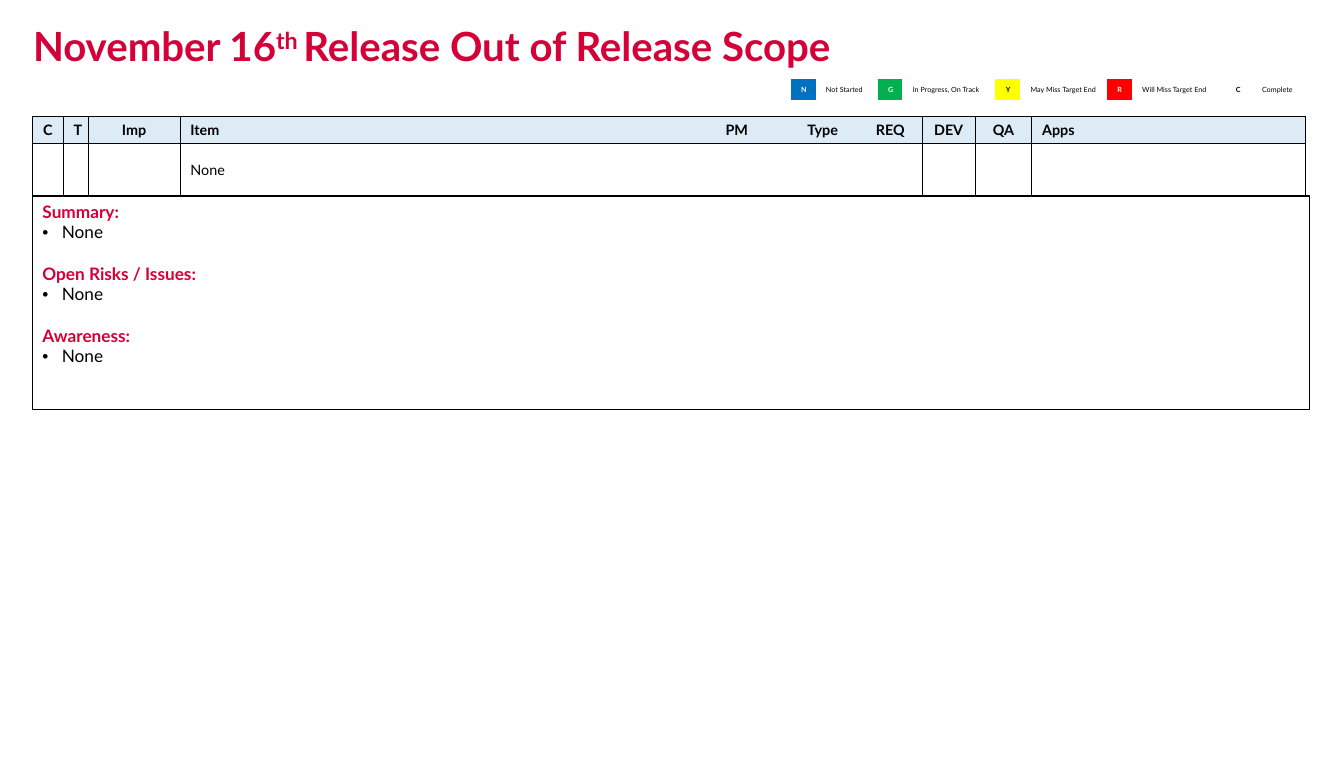
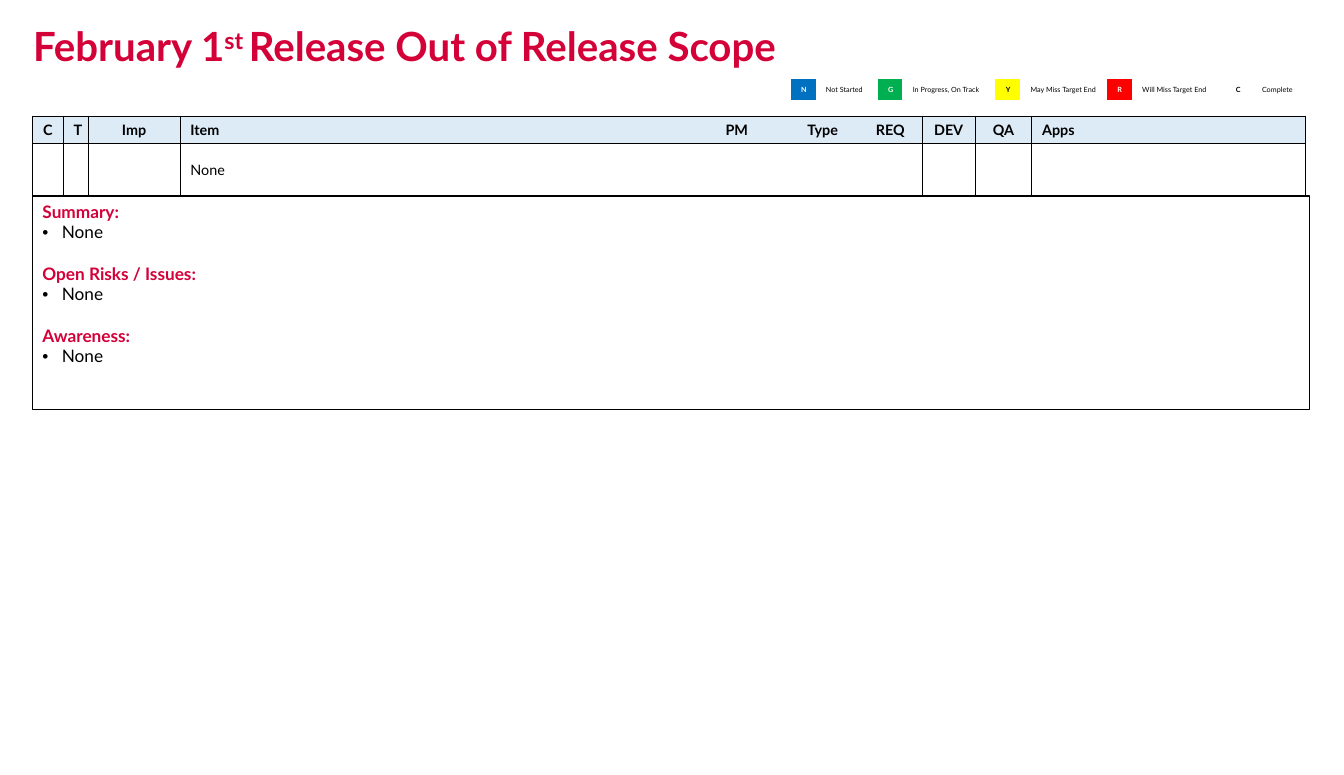
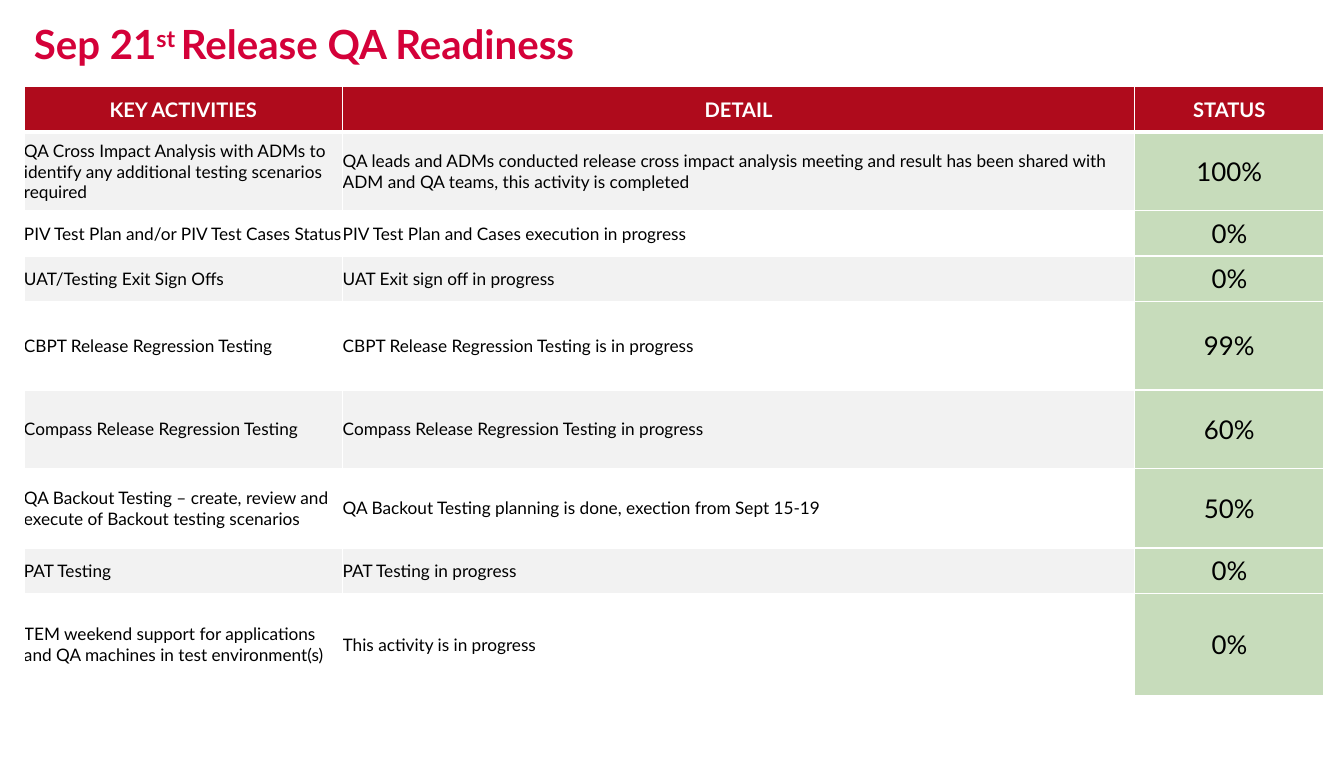
from collections import namedtuple

from lxml import etree
from pptx import Presentation
from pptx.dml import color as dml
from pptx.enum import shapes, text
from pptx.oxml import ns
from pptx.util import Pt

Box = namedtuple("Box", "left top width height")

FONT = "Lato"
COLORS = {
    "title": "D40139", "black": "000000", "white": "FFFFFF", "header": "DDEBF7",
    "not_started": "0070C0", "on_track": "00B050", "may_miss": "FFFF00",
    "will_miss": "FF0000", "banner": "AF0B1C", "band": "F2F2F2", "status": "C7DCBB",
}
LEFT, CENTER = text.PP_ALIGN.LEFT, text.PP_ALIGN.CENTER

LEGEND = [
    ("N", "not_started", "white", "Not Started", 16.6, 43.2),
    ("G", "on_track", "white", "In Progress, On Track", 16.6, 64.8),
    ("Y", "may_miss", "black", "May Miss Target End", 16.6, 60.5),
    ("R", "will_miss", "white", "Will Miss Target End", 16.6, 64.8),
    ("C", None, "black", "Complete", 18.7, 43.2),
]
SCOPE_COLUMNS = [
    ("C", 21.6), ("T", 16.6), ("Imp", 64.1), ("Item", 352.8), ("PM", 69.8),
    ("Type", 49.7), ("REQ", 44.6), ("DEV", 36.7), ("QA", 39.6), ("Apps", 190.8),
]
SCOPE_ITEM = ["", "", "", "None", "", "", "", "", "", ""]
OPEN_COLUMNS = ("Item", "PM", "Type", "REQ")
SUMMARY = [("Summary:", "None"), ("Open Risks / Issues:", "None"), ("Awareness:", "None")]

QA_WIDTHS = [222, 551.5, 132]
QA_HEADINGS = ["KEY ACTIVITIES", "DETAIL", "STATUS"]
QA_ROWS = [
    ("QA Cross Impact Analysis with ADMs to identify any additional testing scenarios required",
     "QA leads and ADMs conducted release cross impact analysis meeting and result has been "
     "shared with ADM and QA teams, this activity is completed", "100%", 54.7),
    ("PIV Test Plan and/or PIV Test Cases Status",
     "PIV Test Plan and Cases execution in progress", "0%", 31.5),
    ("UAT/Testing Exit Sign Offs", "UAT Exit sign off in progress", "0%", 31.5),
    ("CBPT Release Regression Testing",
     "CBPT Release Regression Testing is in progress", "99%", 61.9),
    ("Compass Release Regression Testing",
     "Compass Release Regression Testing in progress", "60%", 54.7),
    ("QA Backout Testing – create, review and execute of Backout testing scenarios",
     "QA Backout Testing planning is done, exection from Sept 15-19", "50%", 55.4),
    ("PAT Testing", "PAT Testing in progress", "0%", 31.5),
    ("TEM weekend support for applications and QA machines in test environment(s)",
     "This activity is in progress", "0%", 71.3),
]


def rgb(name):
    """Return the named colour."""
    return dml.RGBColor.from_string(COLORS[name])


def style_runs(paragraph, size, color="black", bold=False):
    """Format every run of a paragraph."""
    for run in paragraph.runs:
        run.font.name, run.font.size, run.font.bold = FONT, Pt(size), bold
        run.font.color.rgb = rgb(color)


def set_borders(cell, color, widths):
    """Give a cell left, right, top and bottom borders; a zero width hides one."""
    properties = cell._tc.get_or_add_tcPr()
    for side, width in zip("LRTB", widths):
        line = etree.SubElement(properties, ns.qn("a:ln" + side), w=str(int(Pt(width))))
        if width:
            fill = etree.SubElement(line, ns.qn("a:solidFill"))
            etree.SubElement(fill, ns.qn("a:srgbClr"), val=COLORS[color])
        else:
            etree.SubElement(line, ns.qn("a:noFill"))


def fill_cell(cell, words, size, color="black", bold=False, align=LEFT, fill=None,
              border="black", widths=(0, 0, 0, 0), spacing=None):
    """Write and format one table cell."""
    cell.text_frame.text = words
    cell.vertical_anchor = text.MSO_ANCHOR.MIDDLE
    paragraph = cell.text_frame.paragraphs[0]
    paragraph.alignment = align
    if spacing:
        paragraph.line_spacing = Pt(spacing)
    style_runs(paragraph, size, color, bold)
    set_borders(cell, border, widths)
    if fill:
        cell.fill.solid()
        cell.fill.fore_color.rgb = rgb(fill)
    else:
        cell.fill.background()


def add_grid(slide, box, widths, heights):
    """Add a plain table with the given column widths and row heights."""
    grid = slide.shapes.add_table(len(heights), len(widths), *map(Pt, box)).table
    grid.first_row = grid.horz_banding = False
    for column, width in zip(grid.columns, widths):
        column.width = Pt(width)
    for row, height in zip(grid.rows, heights):
        row.height = Pt(height)
    return grid


def add_title(slide, box, date, ordinal, subject):
    """Place the slide title with a raised ordinal after the date."""
    title = slide.shapes.title
    title.left, title.top, title.width, title.height = map(Pt, box)
    frame = title.text_frame
    frame.margin_left = frame.margin_top = frame.margin_right = 0
    frame.margin_bottom = Pt(8.6)
    frame.vertical_anchor = text.MSO_ANCHOR.BOTTOM
    frame.auto_size, frame.word_wrap = text.MSO_AUTO_SIZE.NONE, True
    heading = frame.paragraphs[0]
    heading.alignment = LEFT
    for words in (date, ordinal + " ", subject):
        heading.add_run().text = words
    style_runs(heading, 28, "title", True)
    heading.runs[1].font._element.set("baseline", "30000")


def add_legend(slide, box):
    """Add the status key as a one-row table."""
    widths = [width for entry in LEGEND for width in entry[4:]]
    key = add_grid(slide, box, widths, [box.height])
    for index, (letter, fill, color, meaning, *_) in enumerate(LEGEND):
        fill_cell(key.cell(0, 2 * index), letter, 5, color, True, CENTER, fill)
        fill_cell(key.cell(0, 2 * index + 1), meaning, 5)


def add_scope_table(slide, box):
    """Add the table of out-of-release items."""
    header_height = 19.2
    names, widths = zip(*SCOPE_COLUMNS)
    scope = add_grid(slide, box, widths, [header_height, box.height - header_height])
    for column, name in enumerate(names):
        left = 0 if name in OPEN_COLUMNS[1:] else 0.5
        right = 0 if name in OPEN_COLUMNS[:-1] else 0.5
        borders = (left, right, 0.5, 0.5)
        align = LEFT if name in ("Item", "Apps") else CENTER
        fill_cell(scope.cell(0, column), name, 10, bold=True, align=align,
                  fill="header", widths=borders, spacing=12)
        fill_cell(scope.cell(1, column), SCOPE_ITEM[column], 10, widths=borders, spacing=12)


def add_bullet(paragraph, indent):
    """Give a paragraph a hanging round bullet."""
    properties = paragraph._p.get_or_add_pPr()
    properties.set("marL", str(int(Pt(indent))))
    properties.set("indent", str(-int(Pt(indent))))
    etree.SubElement(properties, ns.qn("a:buFont"), typeface="Arial")
    etree.SubElement(properties, ns.qn("a:buChar"), char="•")


def add_summary(slide, box):
    """Add the framed summary, risks and awareness notes."""
    panel = slide.shapes.add_shape(shapes.MSO_SHAPE.RECTANGLE, *map(Pt, box))
    panel.shadow.inherit = False
    panel.fill.background()
    panel.line.color.rgb, panel.line.width = rgb("black"), Pt(0.75)
    frame = panel.text_frame
    frame.word_wrap, frame.vertical_anchor = True, text.MSO_ANCHOR.TOP
    frame.text = "\n".join(line for section in SUMMARY for line in section)
    for index, paragraph in enumerate(frame.paragraphs):
        paragraph.alignment = LEFT
        if index % 2:
            add_bullet(paragraph, 13.5)
            style_runs(paragraph, 12)
        else:
            if index:
                paragraph.space_before = Pt(14.4)
            style_runs(paragraph, 12, "title", True)


def add_readiness_table(slide, box):
    """Add the table of QA activities and their status."""
    heights = [31.7] + [row[3] for row in QA_ROWS]
    readiness = add_grid(slide, box, QA_WIDTHS, heights)
    for cell in readiness.iter_cells():
        cell.margin_left = cell.margin_right = cell.margin_top = cell.margin_bottom = 0
    for column, heading in enumerate(QA_HEADINGS):
        fill_cell(readiness.cell(0, column), heading, 14, "white", True, CENTER,
                  "banner", "white", (1, 1, 1, 3))
    for row, (activity, detail, status, _) in enumerate(QA_ROWS, 1):
        borders = (1, 1, 3 if row == 1 else 1, 1)
        band = "band" if row % 2 else None
        for column, words in enumerate((activity, detail)):
            fill_cell(readiness.cell(row, column), words, 12, fill=band,
                      border="white", widths=borders)
        fill_cell(readiness.cell(row, 2), status, 18, align=CENTER, fill="status",
                  border="white", widths=borders)


def add_scope_slide(deck, date, ordinal):
    """Build one out-of-release scope slide."""
    slide = deck.slides.add_slide(deck.slide_layouts[5])
    add_title(slide, Box(23, 10.8, 861, 46), date, ordinal, "Release Out of Release Scope")
    add_legend(slide, Box(550.8, 55.2, 361.6, 14.4))
    add_summary(slide, Box(22.5, 136.6, 889.2, 149))
    add_scope_table(slide, Box(22.5, 80.8, 886.3, 55.8))


def add_readiness_slide(deck):
    """Build the QA readiness slide."""
    slide = deck.slides.add_slide(deck.slide_layouts[5])
    add_title(slide, Box(23.6, 9.4, 861, 46), "Sep 21", "st", "Release QA Readiness")
    add_readiness_table(slide, Box(16.7, 60.5, 905.5, 424.2))


def main():
    """Build and save the deck."""
    deck = Presentation()
    deck.slide_width, deck.slide_height = Pt(936), Pt(540)
    add_scope_slide(deck, "November 16", "th")
    add_scope_slide(deck, "February 1", "st")
    add_readiness_slide(deck)
    deck.save("out.pptx")


if __name__ == "__main__":
    main()
